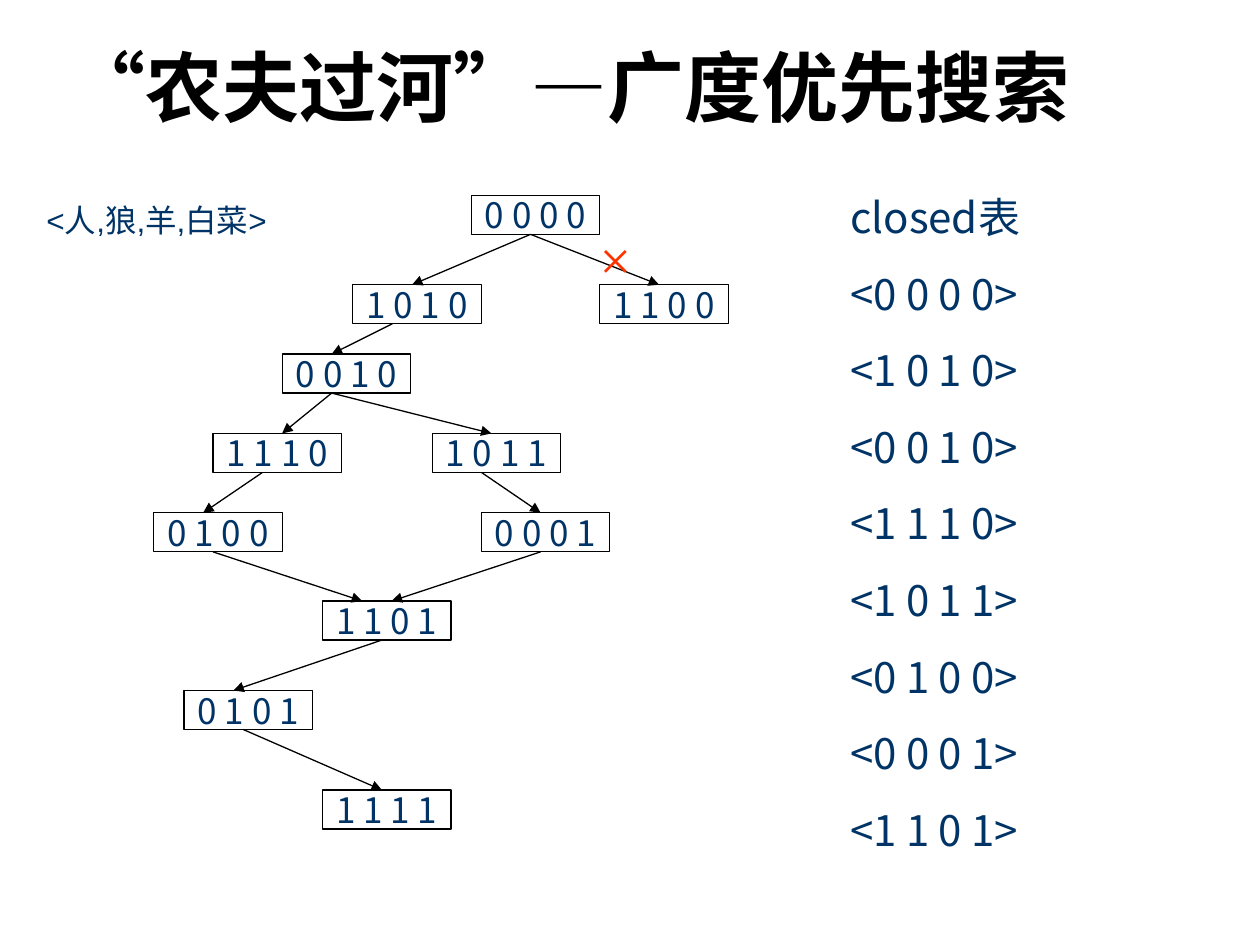
import pptx
import pptx.dml.color
import pptx.enum.shapes
import pptx.enum.text
import pptx.oxml.ns
import pptx.util
from lxml import etree

TITLE = "“农夫过河”—广度优先搜索"
LEGEND = "<人,狼,羊,白菜>"
CLOSED_TITLE = "closed表"
CLOSED_STATES = ["0000", "1010", "0010", "1110", "1011", "0100", "0001", "1101"]
STATE_POSITIONS = {
    "0000": (3.74, 1.55),
    "1010": (2.8, 2.26), "1100": (4.76, 2.26),
    "0010": (2.24, 2.81),
    "1110": (1.69, 3.44), "1011": (3.43, 3.44),
    "0100": (1.22, 4.07), "0001": (3.82, 4.07),
    "1101": (2.56, 4.77),
    "0101": (1.46, 5.48),
    "1111": (2.56, 6.27),
}
MOVES = [
    ("0000", 6, "1010", 6), ("0000", 6, "1100", 6),
    ("1010", 4, "0010", 5),
    ("0010", 5, "1110", 7), ("0010", 5, "1011", 6),
    ("1110", 5, "0100", 5), ("1011", 5, "0001", 6),
    ("0100", 6, "1101", 4), ("0001", 6, "1101", 7),
    ("1101", 6, "0101", 5), ("0101", 6, "1111", 6),
]
BOX_WIDTH, BOX_HEIGHT = 1.02, 0.31
PORT_STEP = BOX_WIDTH / 13
BLACK, NAVY, RED = "000000", "003366", "FF3300"
SANS, CJK, SERIF = "Arial", "Noto Sans CJK KR", "Times New Roman"
INCH = pptx.util.Inches


def color(value):
    return pptx.dml.color.RGBColor.from_string(value)


def add_run(paragraph, text, size, font_name, font_color, bold=False):
    run = paragraph.add_run()
    run.text = text
    run.font.size = pptx.util.Pt(size)
    run.font.name = font_name
    run.font.bold = bold
    run.font.color.rgb = color(font_color)
    east_asian = etree.SubElement(run.font._element, pptx.oxml.ns.qn("a:ea"))
    east_asian.set("typeface", CJK)


def add_text(slide, place, lines, size, font_name, font_color, space=0, inset=True, wrap=True):
    shape = slide.shapes.add_textbox(*map(INCH, place))
    frame = shape.text_frame
    frame.word_wrap = wrap
    if not inset:
        frame.margin_left = frame.margin_right = frame.margin_top = frame.margin_bottom = 0
    for index, line in enumerate(lines):
        paragraph = frame.add_paragraph() if index else frame.paragraphs[0]
        paragraph.space_before = pptx.util.Pt(space)
        add_run(paragraph, line, size, font_name, font_color)


def add_state(slide, state, left, top):
    shape = slide.shapes.add_shape(
        pptx.enum.shapes.MSO_SHAPE.RECTANGLE, *map(INCH, (left, top, BOX_WIDTH, BOX_HEIGHT)))
    shape.shadow.inherit = False
    shape.fill.background()
    shape.line.color.rgb = color(BLACK)
    shape.line.width = pptx.util.Pt(0.75)
    frame = shape.text_frame
    frame.word_wrap = False
    frame.vertical_anchor = pptx.enum.text.MSO_ANCHOR.MIDDLE
    paragraph = frame.paragraphs[0]
    paragraph.alignment = pptx.enum.text.PP_ALIGN.CENTER
    add_run(paragraph, " ".join(state), 20, CJK, NAVY)


def add_move(slide, source, source_port, target, target_port):
    source_left, source_top = STATE_POSITIONS[source]
    target_left, target_top = STATE_POSITIONS[target]
    connector = slide.shapes.add_connector(
        pptx.enum.shapes.MSO_CONNECTOR.STRAIGHT,
        INCH(source_left + source_port * PORT_STEP), INCH(source_top + BOX_HEIGHT),
        INCH(target_left + target_port * PORT_STEP), INCH(target_top))
    connector.line.color.rgb = color(BLACK)
    connector.line.width = pptx.util.Pt(0.75)
    properties = connector._element.spPr
    line = properties.find(pptx.oxml.ns.qn("a:ln"))
    etree.SubElement(line, pptx.oxml.ns.qn("a:tailEnd"), type="triangle")
    etree.SubElement(properties, pptx.oxml.ns.qn("a:effectLst"))


def add_title(slide):
    title = slide.shapes.title
    title.left, title.top, title.width, title.height = map(INCH, (0.27, 0.28, 8.5, 0.8))
    frame = title.text_frame
    frame.auto_size = pptx.enum.text.MSO_AUTO_SIZE.NONE
    frame.vertical_anchor = pptx.enum.text.MSO_ANCHOR.MIDDLE
    paragraph = frame.paragraphs[0]
    paragraph.alignment = pptx.enum.text.PP_ALIGN.CENTER
    add_run(paragraph, TITLE, 44, SANS, BLACK, bold=True)


def main():
    presentation = pptx.Presentation()
    presentation.slide_width, presentation.slide_height = INCH(10), INCH(7.5)
    slide = presentation.slides.add_slide(presentation.slide_layouts[5])
    add_title(slide)
    for state, position in STATE_POSITIONS.items():
        add_state(slide, state, *position)
    for move in MOVES:
        add_move(slide, *move)
    add_text(slide, (4.76, 1.78, 0.39, 0.53), ["×"], 32, SERIF, RED, space=20, inset=False)
    closed_lines = [CLOSED_TITLE] + [f"<{' '.join(state)}>" for state in CLOSED_STATES]
    add_text(slide, (6.65, 1.47, 1.97, 5.37), closed_lines, 24, CJK, NAVY, space=15)
    add_text(slide, (0.27, 1.55, 2.43, 0.4), [LEGEND], 18, SANS, NAVY, wrap=False)
    presentation.save("out.pptx")


if __name__ == "__main__":
    main()
